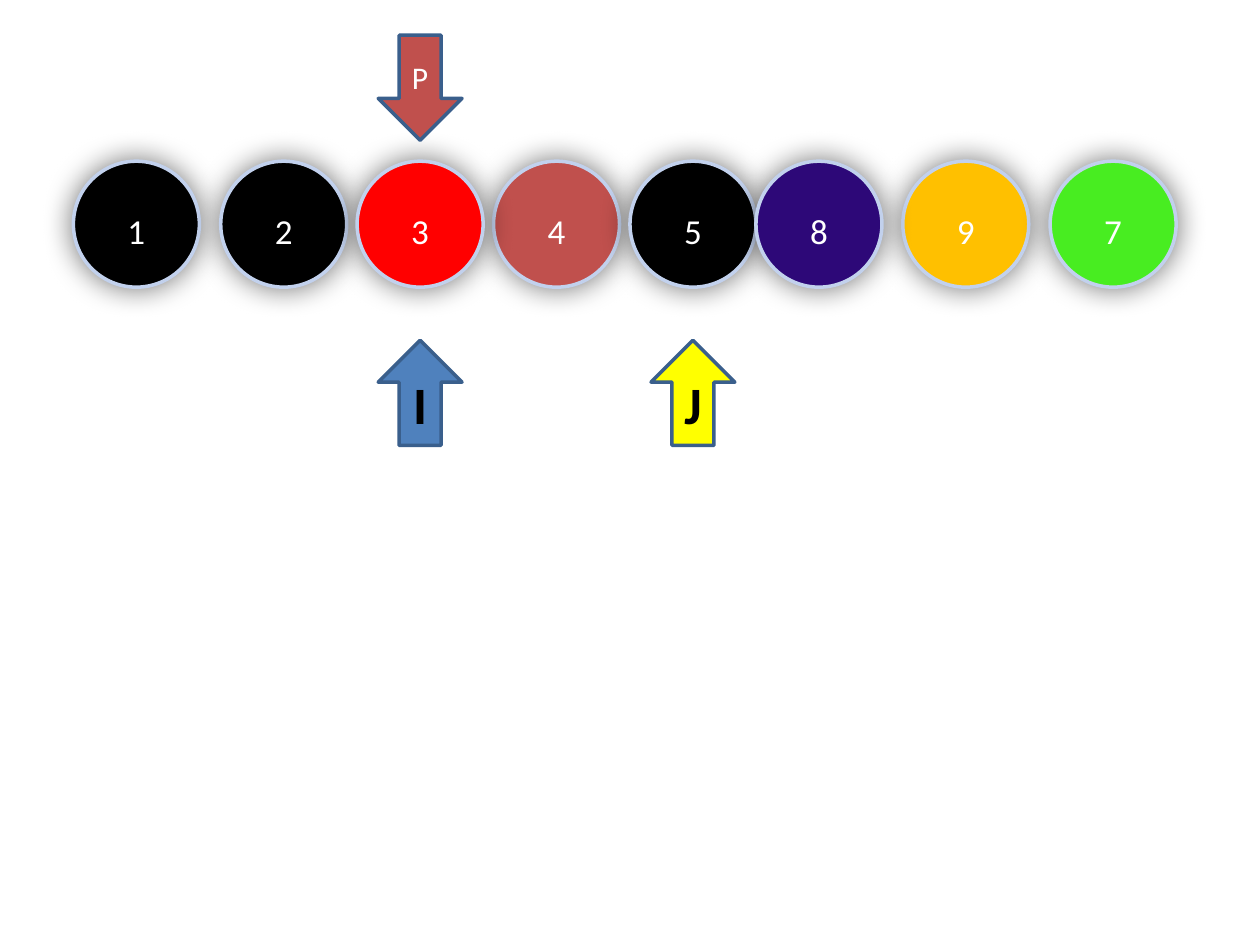
from lxml import etree
from pptx import Presentation
from pptx.dml.color import RGBColor
from pptx.enum import shapes, text
from pptx.oxml import ns
from pptx.util import Cm, Pt

BALL_SIZE = 2.54
BALL_TOP = 3.25
ARROW_WIDTH, ARROW_HEIGHT = 1.69, 2.12
POINTER_TOP = 6.86
PIVOT_TOP = 0.71


def rgb(hex_code):
    return RGBColor.from_string(hex_code)


class ArrayDiagram:
    font = "Calibri"
    arrow_line = "3A5F8C"
    ball_line = "C2D1ED"

    def __init__(self, slide):
        self.slide = slide

    def _labelled(self, preset, box, label, fill, line, size, color, bold=False):
        shape = self.slide.shapes.add_shape(preset, *(Cm(v) for v in box))
        shape.shadow.inherit = False
        shape.fill.solid()
        shape.fill.fore_color.rgb = rgb(fill)
        shape.line.color.rgb = rgb(line)
        shape.line.width = Pt(2)
        frame = shape.text_frame
        frame.text = label
        frame.vertical_anchor = text.MSO_ANCHOR.MIDDLE
        paragraph = frame.paragraphs[0]
        paragraph.alignment = text.PP_ALIGN.CENTER
        font = paragraph.runs[0].font
        font.name, font.size, font.bold = self.font, Pt(size), bold
        font.color.rgb = rgb(color)
        return shape

    def _glow(self, shape):
        """Give the shape a soft black shadow on all sides."""
        effects = shape._element.spPr.find(ns.qn("a:effectLst"))
        shadow = etree.SubElement(effects, ns.qn("a:outerShdw"),
                                  blurRad=str(Pt(17)), dist="0", dir="0")
        black = etree.SubElement(shadow, ns.qn("a:srgbClr"), val="000000")
        etree.SubElement(black, ns.qn("a:alpha"), val="55000")

    def ball(self, center, number, fill):
        box = (center - BALL_SIZE / 2, BALL_TOP, BALL_SIZE, BALL_SIZE)
        ball = self._labelled(shapes.MSO_SHAPE.OVAL, box, number, fill,
                              self.ball_line, 20, "FFFFFF")
        ball.text_frame.margin_top = Cm(0.38)
        self._glow(ball)

    def arrow(self, preset, center, top, label, fill, size, color, bold=False):
        box = (center - ARROW_WIDTH / 2, top, ARROW_WIDTH, ARROW_HEIGHT)
        self._labelled(preset, box, label, fill, self.arrow_line, size, color, bold)

    def index_pointer(self, center, label, fill):
        self.arrow(shapes.MSO_SHAPE.UP_ARROW, center, POINTER_TOP, label, fill,
                   30, "000000", bold=True)

    def pivot_pointer(self, center, label, fill):
        self.arrow(shapes.MSO_SHAPE.DOWN_ARROW, center, PIVOT_TOP, label, fill,
                   18, "FFFFFF")


def main():
    deck = Presentation()
    deck.slide_width, deck.slide_height = Cm(25.4), Cm(19.05)
    diagram = ArrayDiagram(deck.slides.add_slide(deck.slide_layouts[6]))

    centers = {"1": 2.75, "2": 5.72, "3": 8.47, "4": 11.22,
               "5": 13.97, "8": 16.51, "9": 19.47, "7": 22.44}
    # Back to front: each ball's shadow falls on those before it.
    ball_fills = {"1": "000000", "9": "FFC000", "4": "C0504D", "2": "000000",
                  "5": "000000", "7": "48ED21", "8": "2D0878", "3": "FF0000"}

    diagram.index_pointer(centers["5"], "J", "FFFF00")
    for number, fill in ball_fills.items():
        diagram.ball(centers[number], number, fill)
    diagram.index_pointer(centers["3"], "I", "4F81BD")
    diagram.pivot_pointer(centers["3"], "P", "C0504D")

    deck.save("out.pptx")


if __name__ == "__main__":
    main()
